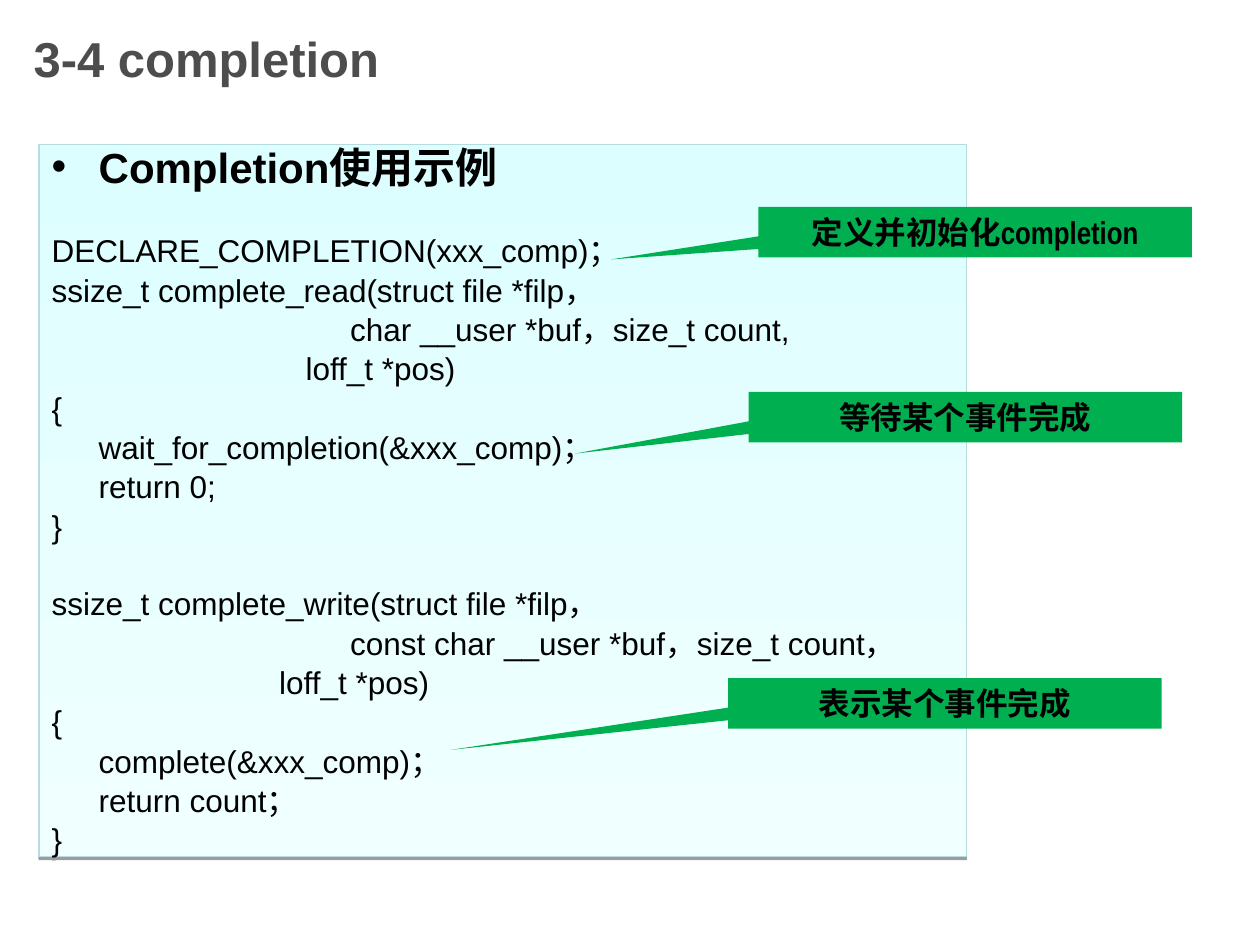
from dataclasses import dataclass

from lxml.etree import SubElement
from pptx import Presentation
from pptx.dml.color import RGBColor
from pptx.enum.shapes import MSO_SHAPE as Preset
from pptx.enum.text import MSO_ANCHOR as Anchor, PP_ALIGN as Align
from pptx.oxml.ns import qn
from pptx.shapes.autoshape import Shape
from pptx.slide import Slide
from pptx.text.text import _Paragraph as Paragraph
from pptx.util import Cm, Emu, Pt

BLACK = "000000"
CODE_GAP = 5.2
BLOCK_GAP = 27
BODY_INDENT = 0.95


@dataclass
class CodeLine:
    text: str
    indent: float = 0
    gap: float = CODE_GAP


@dataclass
class Callout:
    text: str
    left: float
    top: float
    tip_x: float
    tip_y: float


CODE = [
    CodeLine("DECLARE_COMPLETION(xxx_comp)；", gap=BLOCK_GAP),
    CodeLine("ssize_t complete_read(struct file *filp，"),
    CodeLine("char __user *buf，size_t count,", 6.02),
    CodeLine("loff_t *pos)", 5.12),
    CodeLine("{"),
    CodeLine("wait_for_completion(&xxx_comp)；", BODY_INDENT),
    CodeLine("return 0;", BODY_INDENT),
    CodeLine("}"),
    CodeLine("ssize_t complete_write(struct file *filp，", gap=BLOCK_GAP),
    CodeLine("const char __user *buf，size_t count，", 6.02),
    CodeLine("loff_t *pos)", 4.59),
    CodeLine("{"),
    CodeLine("complete(&xxx_comp)；", BODY_INDENT),
    CodeLine("return count；", BODY_INDENT),
    CodeLine("}"),
]

CALLOUTS = [
    Callout("定义并初始化completion", 15.29, 4.17, -0.84, 0.54),
    Callout("等待某个事件完成", 15.09, 7.9, -0.9, 0.72),
    Callout("表示某个事件完成", 14.68, 13.67, -1.14, 0.92),
]


def color(value: str) -> RGBColor:
    return RGBColor.from_string(value)


def write(paragraph: Paragraph, text: str, size: float, bold: bool = False,
          fill: str = BLACK, font_name: str = "Arial") -> None:
    paragraph.text = text
    for run in paragraph.runs:
        font = run.font
        font.name, font.size, font.bold = font_name, Pt(size), bold
        font.color.rgb = color(fill)


def set_indent(paragraph: Paragraph, left: float, first: float = 0) -> None:
    properties = paragraph._p.get_or_add_pPr()
    properties.set("marL", str(Cm(left)))
    properties.set("indent", str(Cm(first)))


def add_bullet(paragraph: Paragraph) -> None:
    properties = paragraph._p.get_or_add_pPr()
    bullet_color = SubElement(properties, qn("a:buClr"))
    SubElement(bullet_color, qn("a:srgbClr"), val=BLACK)
    SubElement(properties, qn("a:buFont"), typeface="Arial")
    SubElement(properties, qn("a:buChar"), char="•")


def add_drop_shadow(shape: Shape) -> None:
    effects = shape._element.spPr.find(qn("a:effectLst"))
    shadow = SubElement(effects, qn("a:outerShdw"), blurRad="0",
                        dist=str(Pt(1.6)), dir="5400000", rotWithShape="0")
    shadow_color = SubElement(shadow, qn("a:srgbClr"), val=BLACK)
    SubElement(shadow_color, qn("a:alpha"), val="38000")


def add_title(slide: Slide, text: str) -> None:
    title = slide.shapes.add_textbox(Cm(0.43), Emu(0), Cm(19.05), Cm(2.34))
    title.text_frame.word_wrap = True
    title.text_frame.vertical_anchor = Anchor.MIDDLE
    write(title.text_frame.paragraphs[0], text, 28, True, "4D4D4D")


def add_code_panel(slide: Slide, heading: str, lines: list[CodeLine]) -> None:
    panel = slide.shapes.add_shape(
        Preset.RECTANGLE, Cm(0.79), Cm(2.92), Cm(18.69), Cm(14.35))
    panel.shadow.inherit = False
    add_drop_shadow(panel)
    panel.fill.gradient()
    panel.fill.gradient_angle = 270
    for stop, value in zip(panel.fill.gradient_stops, ("DDFEFF", "F0FFFF")):
        stop.color.rgb = color(value)
    panel.line.color.rgb = color("B6DCDF")
    panel.line.width = Pt(0.75)

    frame = panel.text_frame
    frame.word_wrap = True
    frame.vertical_anchor = Anchor.TOP
    paragraph = frame.paragraphs[0]
    write(paragraph, heading, 24, True)
    paragraph.alignment = Align.LEFT
    paragraph.line_spacing = 0.8
    paragraph.space_before = Pt(6)
    set_indent(paragraph, BODY_INDENT, -BODY_INDENT)
    add_bullet(paragraph)
    for line in lines:
        paragraph = frame.add_paragraph()
        write(paragraph, line.text, 18)
        paragraph.alignment = Align.LEFT
        paragraph.line_spacing = 0.8
        paragraph.space_before = Pt(line.gap)
        set_indent(paragraph, line.indent)


def add_callout(slide: Slide, callout: Callout) -> None:
    shape = slide.shapes.add_shape(
        Preset.RECTANGULAR_CALLOUT, Cm(callout.left), Cm(callout.top),
        Cm(8.74), Cm(1.02))
    shape.adjustments[0] = callout.tip_x
    shape.adjustments[1] = callout.tip_y
    shape.shadow.inherit = False
    shape.fill.solid()
    shape.fill.fore_color.rgb = color("00B050")
    shape.line.fill.background()
    shape.text_frame.word_wrap = True
    shape.text_frame.vertical_anchor = Anchor.TOP
    paragraph = shape.text_frame.paragraphs[0]
    write(paragraph, callout.text, 18, True, font_name="Arial Narrow")
    paragraph.alignment = Align.CENTER


def main() -> None:
    """Build the slide on the kernel completion mechanism."""
    presentation = Presentation()
    presentation.slide_width, presentation.slide_height = Cm(25.4), Cm(19.05)
    slide = presentation.slides.add_slide(presentation.slide_layouts[6])
    add_title(slide, "3-4 completion")
    add_code_panel(slide, "Completion使用示例", CODE)
    for callout in CALLOUTS:
        add_callout(slide, callout)
    presentation.save("out.pptx")


if __name__ == "__main__":
    main()
